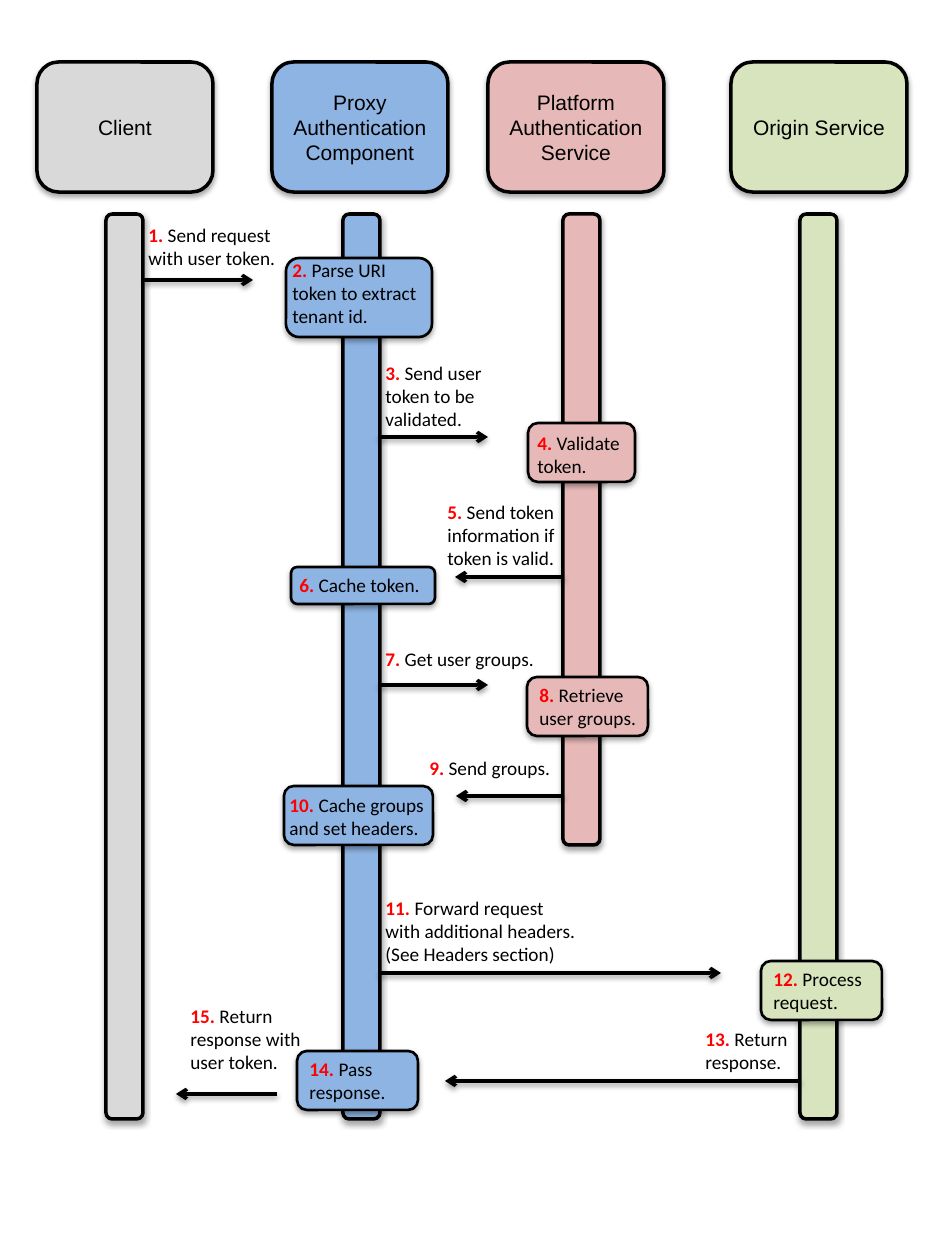
"""Build a sequence diagram of token authentication across four services."""
from dataclasses import dataclass

from lxml import etree
from pptx import Presentation
from pptx.dml.color import RGBColor
from pptx.enum.shapes import MSO_CONNECTOR, MSO_SHAPE
from pptx.enum.text import MSO_ANCHOR, MSO_AUTO_SIZE, PP_ALIGN
from pptx.oxml.ns import qn
from pptx.util import Emu, Inches, Pt


@dataclass(frozen=True)
class Theme:
    gray: RGBColor = RGBColor.from_string("D9D9D9")
    blue: RGBColor = RGBColor.from_string("8EB4E3")
    pink: RGBColor = RGBColor.from_string("E6B9B8")
    green: RGBColor = RGBColor.from_string("D7E4BD")
    ink: RGBColor = RGBColor.from_string("000000")
    number: RGBColor = RGBColor.from_string("FF0000")
    heading_font: str = "Arial"
    step_font: str = "Calibri"
    heading_size: Pt = Pt(12)
    step_size: Pt = Pt(11)
    heavy: Pt = Pt(2)
    medium: Pt = Pt(1.5)


theme = Theme()
PIXEL = Inches(1) // 126

deck = Presentation()
deck.slide_width, deck.slide_height = Inches(7.5), Inches(10)
page = deck.slides.add_slide(deck.slide_layouts[6])


def add_shadow(item, distance, alpha):
    """Give a shape or connector a soft shadow straight below it."""
    properties = item._element.spPr
    effects = properties.find(qn("a:effectLst"))
    if effects is None:
        effects = etree.SubElement(properties, qn("a:effectLst"))
    shadow = etree.SubElement(effects, qn("a:outerShdw"), blurRad="40000",
                              dist=str(distance), dir="5400000", rotWithShape="0")
    color = etree.SubElement(shadow, qn("a:srgbClr"), val=str(theme.ink))
    etree.SubElement(color, qn("a:alpha"), val=str(alpha))


def add_box(bounds, fill, weight):
    """Add a rounded, outlined box and return it."""
    box = page.shapes.add_shape(MSO_SHAPE.ROUNDED_RECTANGLE,
                                *(Emu(value * PIXEL) for value in bounds))
    box.fill.solid()
    box.fill.fore_color.rgb = fill
    box.line.color.rgb = theme.ink
    box.line.width = weight
    box.shadow.inherit = False
    add_shadow(box, 23000, 35000)
    return box


lanes = [
    ("Client", theme.gray, 37, 106, 905),
    ("Proxy\nAuthentication\nComponent", theme.blue, 272, 343, 905),
    ("Platform Authentication Service", theme.pink, 488, 563, 631),
    ("Origin Service", theme.green, 731, 800, 905),
]
for title, fill, header_left, lifeline_left, lifeline_height in lanes:
    add_box((lifeline_left, 214, 37, lifeline_height), fill, theme.heavy)
    header = add_box((header_left, 62, 176, 130), fill, theme.heavy)
    frame = header.text_frame
    frame.text = title
    frame.word_wrap = True
    frame.vertical_anchor = MSO_ANCHOR.MIDDLE
    for para in frame.paragraphs:
        para.alignment = PP_ALIGN.CENTER
        para.font.name = theme.heading_font
        para.font.size = theme.heading_size
        para.font.color.rgb = theme.ink

arrows = [
    (144, 253, 280), (379, 488, 437), (564, 455, 577), (379, 488, 685),
    (564, 456, 796), (379, 721, 973), (800, 445, 1081), (277, 176, 1094),
]
for start, end, height in arrows:
    arrow = page.shapes.add_connector(
        MSO_CONNECTOR.STRAIGHT,
        *(Emu(value * PIXEL) for value in (start, height, end, height)))
    arrow.line.color.rgb = theme.ink
    arrow.line.width = theme.heavy
    outline = arrow._element.spPr.find(qn("a:ln"))
    etree.SubElement(outline, qn("a:tailEnd"), type="arrow")
    add_shadow(arrow, 20000, 38000)

activities = [
    ((286, 258, 146, 79), theme.blue),
    ((528, 423, 107, 59), theme.pink),
    ((291, 567, 144, 37), theme.blue),
    ((527, 677, 121, 59), theme.pink),
    ((284, 786, 149, 59), theme.blue),
    ((761, 961, 121, 59), theme.green),
    ((297, 1051, 121, 59), theme.blue),
]
for bounds, fill in activities:
    add_box(bounds, fill, theme.medium)

steps = [
    ("Send request\nwith user token.", (136, 217, 160, 83), False),
    ("Parse URI token to extract tenant id.", (280, 252, 159, 83), True),
    ("Send user token to be validated.", (373, 355, 152, 83), True),
    ("Validate token.", (525, 425, 134, 59), True),
    ("Send token information if token is valid.", (435, 494, 159, 83), True),
    ("Cache token.", (287, 567, 147, 37), False),
    ("Get user groups.", (373, 641, 175, 37), False),
    ("Retrieve user groups.", (527, 677, 146, 59), True),
    ("Send groups.", (417, 750, 152, 37), False),
    ("Cache groups and set headers.", (277, 787, 170, 59), True),
    ("Forward request with additional headers.\n(See Headers section)",
     (373, 890, 220, 83), True),
    ("Process request.", (761, 961, 146, 59), True),
    ("Return response.", (693, 1021, 152, 59), True),
    ("Pass response.", (297, 1051, 146, 59), True),
    ("Return response with user token.", (178, 998, 152, 83), True),
]
for number, (wording, bounds, wraps) in enumerate(steps, 1):
    label = page.shapes.add_textbox(*(Emu(value * PIXEL) for value in bounds))
    frame = label.text_frame
    frame.word_wrap = wraps
    frame.auto_size = MSO_AUTO_SIZE.SHAPE_TO_FIT_TEXT
    first, *others = wording.split("\n")
    para = frame.paragraphs[0]
    para.text = f"{number}. "
    para.add_run().text = first
    for line in others:
        frame.add_paragraph().text = line
    for para in frame.paragraphs:
        for span in para.runs:
            span.font.name = theme.step_font
            span.font.size = theme.step_size
            span.font.color.rgb = theme.ink
    marker = frame.paragraphs[0].runs[0]
    marker.font.bold = True
    marker.font.color.rgb = theme.number

deck.save("out.pptx")
